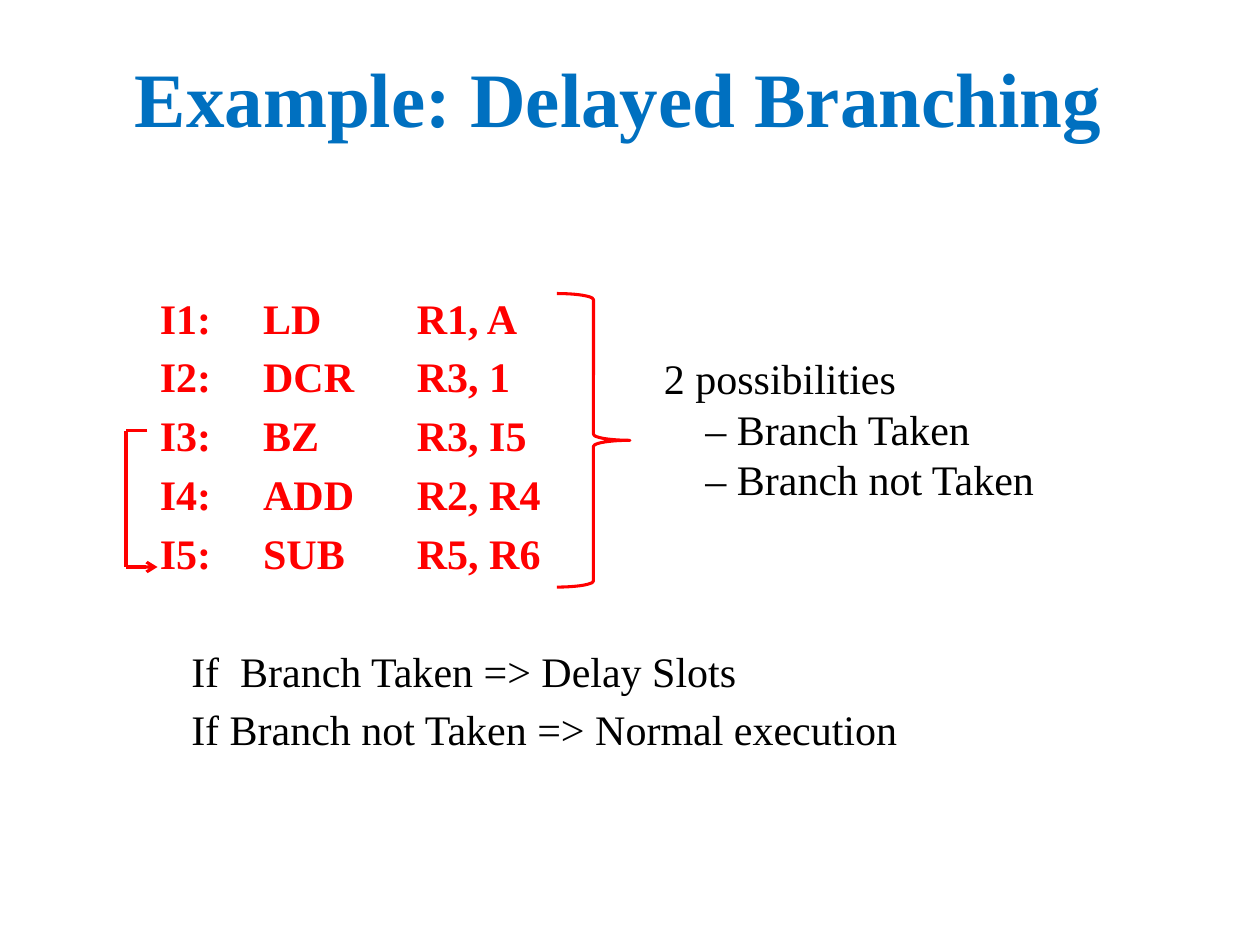
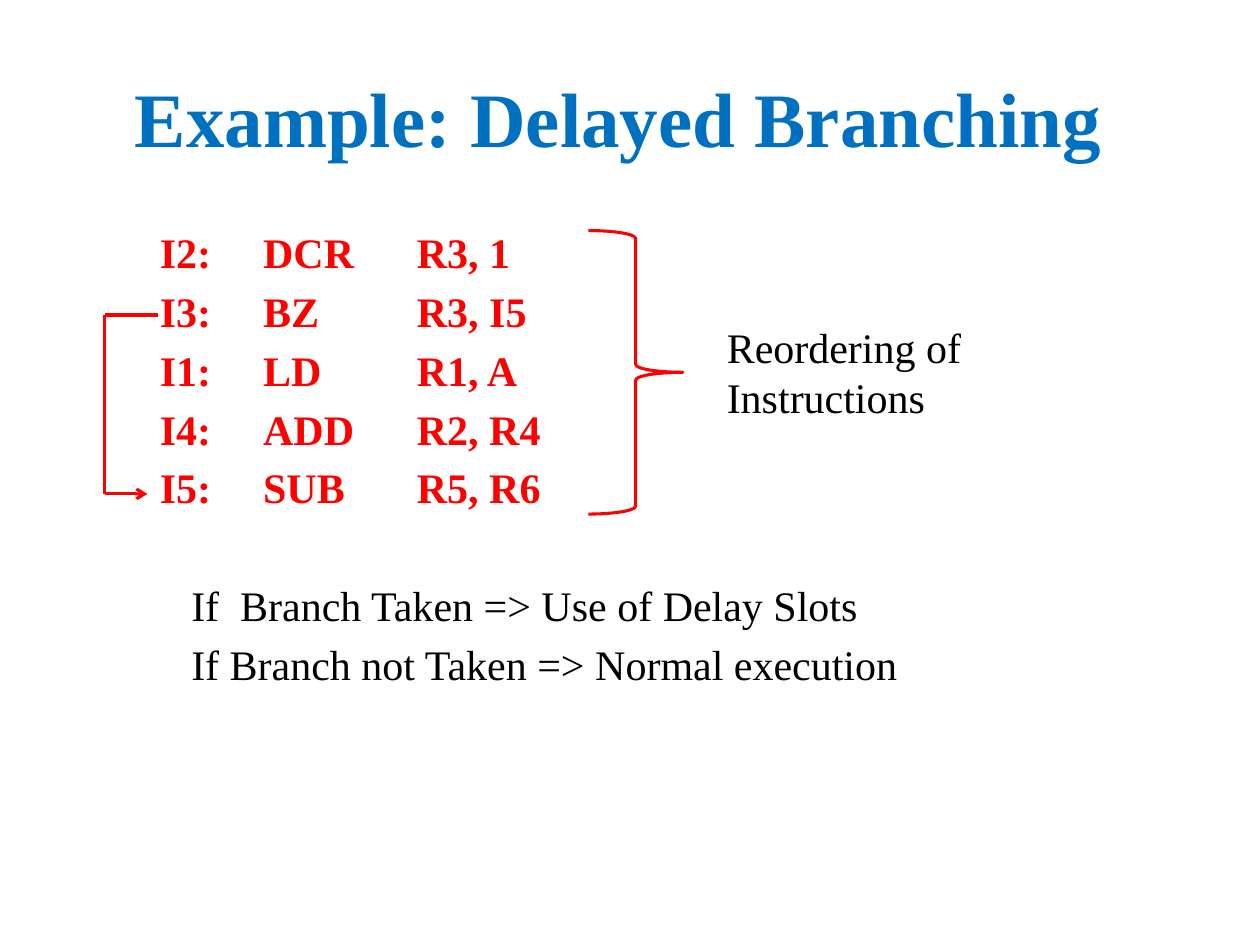
from itertools import pairwise

from lxml import etree
from pptx import Presentation
from pptx.dml.color import RGBColor
from pptx.enum.shapes import MSO_CONNECTOR, MSO_SHAPE
from pptx.enum.text import MSO_ANCHOR, PP_ALIGN
from pptx.oxml.ns import qn
from pptx.util import Inches, Pt

STRAIGHT = MSO_CONNECTOR.STRAIGHT
RIGHT_BRACE = MSO_SHAPE.RIGHT_BRACE
MIDDLE, TOP = MSO_ANCHOR.MIDDLE, MSO_ANCHOR.TOP
CENTER, LEFT = PP_ALIGN.CENTER, PP_ALIGN.LEFT

COLORS = {"title": "0070C0", "code": "FF0000", "text": "000000"}
FONT = "Times New Roman"
TITLE = "Example: Delayed Branching"
TITLE_STYLE = {"size": Pt(44), "bold": True}
CODE_STYLE = {"size": Pt(24), "bold": True}
TEXT_STYLE = {"size": Pt(24), "bold": False}

INSTRUCTIONS = {
    "I1": ("LD", "R1, A"),
    "I2": ("DCR", "R3, 1"),
    "I3": ("BZ", "R3, I5"),
    "I4": ("ADD", "R2, R4"),
    "I5": ("SUB", "R5, R6"),
}
OPCODE_TAB, OPERAND_TAB = 0.82, 2.04
CODE_LEFT, CODE_WIDTH, BODY_BOTTOM = 1.17, 8.33, 6.7
OUTCOME_INDENT, REMARK_INDENT = 0.25, 0.33
LINE_GAP, SECTION_GAP = 4.8, 38.5

SLIDES = [
    {
        "title_box": (0.41, 0.25, 9, 1.03),
        "order": ["I1", "I2", "I3", "I4", "I5"],
        "code_top": 2.27,
        "outcomes": ["If  Branch Taken => Delay Slots",
                     "If Branch not Taken => Normal execution"],
        "brace": (4.42, 2.33, 0.58, 2.33),
        "remark": [("2 possibilities", 0),
                   ("– Branch Taken", REMARK_INDENT),
                   ("– Branch not Taken", REMARK_INDENT)],
        "remark_box": (5.17, 2.75, 3.42, 1.31),
        "jump": [(1.17, 3.42), (1, 3.42), (1, 4.5), (1.25, 4.5)],
    },
    {
        "title_box": (0.41, 0.3, 9, 1.25),
        "order": ["I2", "I3", "I1", "I4", "I5"],
        "code_top": 1.75,
        "outcomes": ["If  Branch Taken => Use of Delay Slots",
                     "If Branch not Taken => Normal execution"],
        "brace": (4.67, 1.83, 0.75, 2.25),
        "remark": [("Reordering of Instructions", 0)],
        "remark_box": (5.67, 2.5, 2.33, 0.91),
        "jump": [(1.25, 2.5), (0.83, 2.5), (0.83, 3.92), (1.17, 3.92)],
    },
]


def color(role):
    return RGBColor.from_string(COLORS[role])


def add_frame(slide, box, anchor=TOP):
    frame = slide.shapes.add_textbox(*map(Inches, box)).text_frame
    frame.word_wrap = True
    frame.vertical_anchor = anchor
    return frame


def add_line(frame, text, style, role, align=LEFT, indent=0, gap=0):
    first = not frame.paragraphs[0].runs
    line = frame.paragraphs[0] if first else frame.add_paragraph()
    line.alignment = align
    line.space_before = Pt(0 if first else gap)
    properties = line._p.get_or_add_pPr()
    properties.set("marL", str(Inches(indent)))
    run = line.add_run()
    run.text = text
    run.font.name = FONT
    run.font.color.rgb = color(role)
    for attribute, value in style.items():
        setattr(run.font, attribute, value)
    return properties


def add_body(slide, content):
    top = content["code_top"]
    body = add_frame(slide, (CODE_LEFT, top, CODE_WIDTH, BODY_BOTTOM - top))
    for label in content["order"]:
        opcode, operands = INSTRUCTIONS[label]
        properties = add_line(body, f"{label}:\t{opcode}\t{operands}",
                              CODE_STYLE, "code", gap=LINE_GAP)
        tabs = etree.SubElement(properties, qn("a:tabLst"))
        for stop in (OPCODE_TAB, OPERAND_TAB):
            etree.SubElement(tabs, qn("a:tab"), pos=str(Inches(stop)), algn="l")
    for outcome, gap in zip(content["outcomes"], (SECTION_GAP, LINE_GAP)):
        add_line(body, outcome, TEXT_STYLE, "text", indent=OUTCOME_INDENT, gap=gap)


def style_stroke(line):
    line.color.rgb = color("code")
    line.width = Pt(1.75)


def add_brace(slide, box):
    brace = slide.shapes.add_shape(RIGHT_BRACE, *map(Inches, box))
    brace.shadow.inherit = False
    brace.fill.background()
    style_stroke(brace.line)


def add_jump(slide, points):
    for start, end in pairwise(points):
        segment = slide.shapes.add_connector(STRAIGHT, *map(Inches, start + end))
        style_stroke(segment.line)
        etree.SubElement(segment._element.spPr, qn("a:effectLst"))
    etree.SubElement(segment.line._get_or_add_ln(), qn("a:tailEnd"), type="arrow")


def build_slide(deck, content):
    slide = deck.slides.add_slide(deck.slide_layouts[6])
    title = add_frame(slide, content["title_box"], MIDDLE)
    add_line(title, TITLE, TITLE_STYLE, "title", CENTER)
    add_body(slide, content)
    add_brace(slide, content["brace"])
    remark = add_frame(slide, content["remark_box"])
    for text, indent in content["remark"]:
        add_line(remark, text, TEXT_STYLE, "text", indent=indent)
    add_jump(slide, content["jump"])


def main():
    deck = Presentation()
    deck.slide_width, deck.slide_height = Inches(10), Inches(7.5)
    for content in SLIDES:
        build_slide(deck, content)
    deck.save("out.pptx")


if __name__ == "__main__":
    main()
